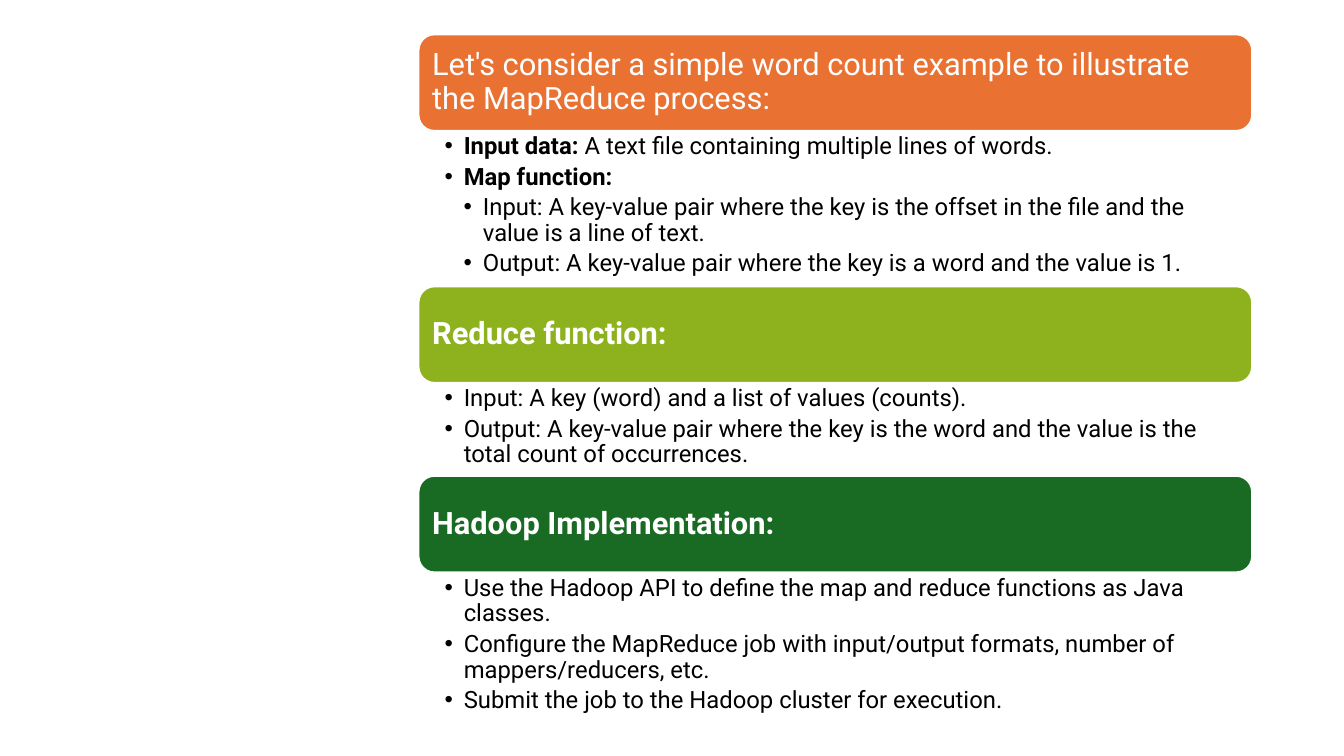
from lxml import etree
from pptx import Presentation
from pptx.dml.color import RGBColor
from pptx.enum.shapes import MSO_SHAPE
from pptx.enum.text import MSO_ANCHOR, PP_ALIGN
from pptx.oxml.ns import qn
from pptx.util import Inches, Pt

ROUNDED = MSO_SHAPE.ROUNDED_RECTANGLE
MIDDLE = MSO_ANCHOR.MIDDLE
LEFT_ALIGN = PP_ALIGN.LEFT
FONT = "Roboto"
LEFT, WIDTH, HEADING_HEIGHT = 4.15, 8.27, 0.96
INDENT = 0.19

SECTIONS = [
    ("Let's consider a simple word count example to illustrate the MapReduce process:",
     False, "E97132", 1.54, [
         (1, "Input data:", " A text file containing multiple lines of words."),
         (1, "Map function:", ""),
         (2, "", "Input: A key-value pair where the key is the offset in the file "
                 "and the value is a line of text."),
         (2, "", "Output: A key-value pair where the key is a word and the value is 1."),
     ]),
    ("Reduce function:", True, "8EB21E", 0.92, [
        (1, "", "Input: A key (word) and a list of values (counts)."),
        (1, "", "Output: A key-value pair where the key is the word and the value "
                "is the total count of occurrences."),
    ]),
    ("Hadoop Implementation:", True, "196B24", 1.49, [
        (1, "", "Use the Hadoop API to define the map and reduce functions as Java classes."),
        (1, "", "Configure the MapReduce job with input/output formats, number of "
                "mappers/reducers, etc."),
        (1, "", "Submit the job to the Hadoop cluster for execution."),
    ]),
]


def color(value):
    return RGBColor.from_string(value)


def set_frame(frame, left, top, right, bottom):
    frame.word_wrap = True
    frame.margin_left, frame.margin_top = Inches(left), Inches(top)
    frame.margin_right, frame.margin_bottom = Inches(right), Inches(bottom)


deck = Presentation()
deck.slide_width, deck.slide_height = Inches(13.33), Inches(7.5)
page = deck.slides.add_slide(deck.slide_layouts[6])

top = 0.34
for title, title_bold, fill, body_height, items in SECTIONS:
    heading = page.shapes.add_shape(
        ROUNDED, Inches(LEFT), Inches(top), Inches(WIDTH), Inches(HEADING_HEIGHT))
    heading.shadow.inherit = False
    heading.fill.solid()
    heading.fill.fore_color.rgb = color(fill)
    heading.line.color.rgb = color("FFFFFF")
    heading.line.width = Pt(1.5)
    frame = heading.text_frame
    set_frame(frame, 0.09, 0.09, 0.09, 0.09)
    frame.vertical_anchor = MIDDLE
    para = frame.paragraphs[0]
    para.text = title
    para.alignment = LEFT_ALIGN
    para.line_spacing = 0.9
    para.font.name, para.font.size, para.font.bold = FONT, Pt(22), title_bold
    para.font.color.rgb = color("FFFFFF")
    top += HEADING_HEIGHT

    body = page.shapes.add_textbox(
        Inches(LEFT), Inches(top), Inches(WIDTH), Inches(body_height))
    frame = body.text_frame
    set_frame(frame, 0.26, 0.03, 0.17, 0.03)
    for index, (level, label, text) in enumerate(items):
        para = frame.paragraphs[0] if index == 0 else frame.add_paragraph()
        para.level = level
        para.line_spacing = 0.9
        para.space_after = Pt(3.4)
        properties = para._p.get_or_add_pPr()
        properties.set("marL", str(Inches(INDENT * level)))
        properties.set("indent", str(Inches(-INDENT)))
        etree.SubElement(properties, qn("a:buFont"), typeface="Arial")
        etree.SubElement(properties, qn("a:buChar"), char="•")
        para.font.name, para.font.size = FONT, Pt(17)
        para.font.color.rgb = color("000000")
        for words, bold in ((label, True), (text, False)):
            if words:
                span = para.add_run()
                span.text = words
                span.font.bold = bold
    top += body_height

deck.save("out.pptx")
